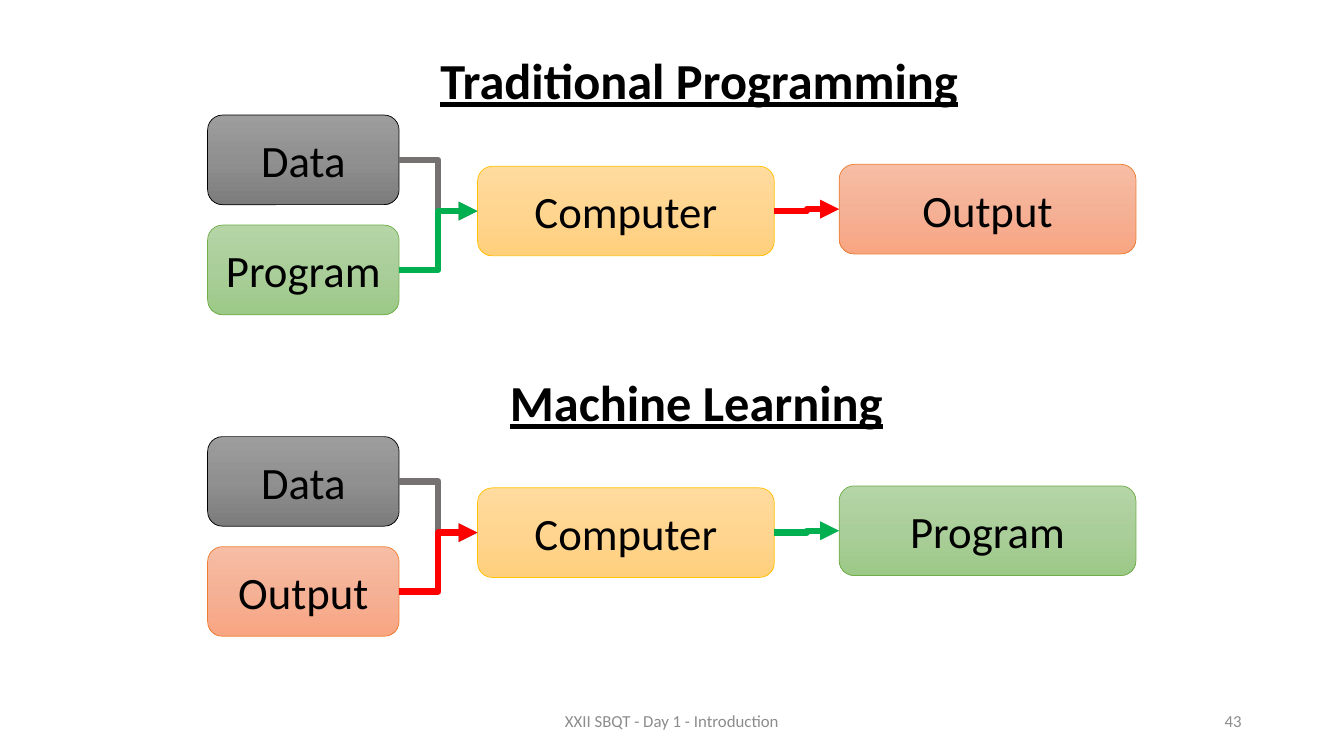
from copy import deepcopy
from lxml import etree
from pptx import Presentation
from pptx.dml.color import RGBColor
from pptx.enum.shapes import MSO_CONNECTOR, MSO_SHAPE
from pptx.enum.text import MSO_ANCHOR, MSO_AUTO_SIZE, PP_ALIGN
from pptx.oxml.ns import qn
from pptx.util import Pt

ELBOW = MSO_CONNECTOR.ELBOW
ROUNDED = MSO_SHAPE.ROUNDED_RECTANGLE
TOP, MIDDLE = MSO_ANCHOR.TOP, MSO_ANCHOR.MIDDLE
LEFT, CENTER, RIGHT = PP_ALIGN.LEFT, PP_ALIGN.CENTER, PP_ALIGN.RIGHT
NO_AUTOFIT = MSO_AUTO_SIZE.NONE

BLACK = RGBColor(0x00, 0x00, 0x00)
FOOTER_GRAY = RGBColor(0x8C, 0x8C, 0x8C)
ARROW_GRAY = RGBColor(0x76, 0x71, 0x71)
ARROW_GREEN = RGBColor(0x00, 0xB0, 0x50)
ARROW_RED = RGBColor(0xFF, 0x00, 0x00)
GOLD_LINE = RGBColor(0xFF, 0xC0, 0x00)
GOLD_STOPS = [RGBColor(0xFF, 0xDB, 0x9E), RGBColor(0xFF, 0xD5, 0x90), RGBColor(0xFF, 0xD0, 0x7C)]
GRAY_STOPS = [RGBColor(0x9D, 0x9D, 0x9D), RGBColor(0x90, 0x90, 0x90), RGBColor(0x7C, 0x7C, 0x7C)]
GREEN_LINE = RGBColor(0x70, 0xAD, 0x47)
GREEN_STOPS = [RGBColor(0xB5, 0xD5, 0xA7), RGBColor(0xAA, 0xCE, 0x9A), RGBColor(0x9C, 0xC9, 0x87)]
ORANGE_LINE = RGBColor(0xED, 0x7D, 0x31)
ORANGE_STOPS = [RGBColor(0xF7, 0xBD, 0xA5), RGBColor(0xF5, 0xB1, 0x96), RGBColor(0xF8, 0xA5, 0x82)]

STYLES = {
    "Data": (GRAY_STOPS, BLACK, ARROW_GRAY),
    "Program": (GREEN_STOPS, GREEN_LINE, ARROW_GREEN),
    "Computer": (GOLD_STOPS, GOLD_LINE, None),
    "Output": (ORANGE_STOPS, ORANGE_LINE, ARROW_RED),
}
BOX_HEIGHT = 64
SLOTS = [(148.3, 0, 136.8), (148.3, 78.6, 136.8), (341.1, 36.6, 212), (599.4, 35.2, 212)]

deck = Presentation()
deck.slide_width, deck.slide_height = Pt(960), Pt(540)
page = deck.slides.add_slide(deck.slide_layouts[5])


def write(shape, text, size, color, align, anchor):
    frame = shape.text_frame
    frame.text = text
    frame.vertical_anchor = anchor
    para = frame.paragraphs[0]
    para.alignment = align
    para.font.name = "Calibri"
    para.font.size = Pt(size)
    para.font.color.rgb = color
    return frame


def add_arrow(source, target, color):
    arrow = page.shapes.add_connector(ELBOW, 0, 0, 0, 0)
    arrow.begin_connect(source, 3)
    arrow.end_connect(target, 1)
    arrow.line.color.rgb = color
    arrow.line.width = Pt(4.5)
    properties = arrow._element.spPr
    line = properties.find(qn("a:ln"))
    etree.SubElement(line, qn("a:tailEnd"), type="triangle")
    etree.SubElement(properties, qn("a:effectLst"))


diagrams = [
    ("Traditional Programming", page.shapes.title, 307.4, 393.8, 31.7, ["Data", "Program", "Computer", "Output"]),
    ("Machine Learning", page.shapes.add_textbox(0, 0, 0, 0), 357.1, 288.7, 261.4,
     ["Data", "Output", "Computer", "Program"]),
]
for heading, heading_box, heading_left, heading_width, top, labels in diagrams:
    heading_box.left, heading_box.top = Pt(heading_left), Pt(top)
    heading_box.width, heading_box.height = Pt(heading_width), Pt(51)
    frame = write(heading_box, heading, 36, BLACK, LEFT, TOP)
    frame.word_wrap = False
    frame.auto_size = NO_AUTOFIT
    frame.paragraphs[0].font.bold = True
    frame.paragraphs[0].font.underline = True

    boxes = []
    for label, (left, offset, width) in zip(labels, SLOTS):
        stop_colors, line_color, _ = STYLES[label]
        box = page.shapes.add_shape(ROUNDED, Pt(left), Pt(top + 50.5 + offset), Pt(width), Pt(BOX_HEIGHT))
        box.shadow.inherit = False
        box.fill.gradient()
        box.fill.gradient_angle = 270
        stop_list = box._element.spPr.find(qn("a:gradFill")).find(qn("a:gsLst"))
        stop_list.insert(1, deepcopy(stop_list[0]))
        for stop, position, color in zip(box.fill.gradient_stops, (0, 0.5, 1), stop_colors):
            stop.position = position
            stop.color.rgb = color
        box.line.color.rgb = line_color
        box.line.width = Pt(0.5)
        write(box, label, 32, BLACK, CENTER, MIDDLE)
        boxes.append(box)

    first_input, second_input, computer, result = boxes
    add_arrow(first_input, computer, STYLES[labels[0]][2])
    add_arrow(second_input, computer, STYLES[labels[1]][2])
    add_arrow(computer, result, STYLES[labels[3]][2])

for text, left, width, align in [
    ("XXII SBQT - Day 1 - Introduction", 318, 324, CENTER),
    ("43", 678, 216, RIGHT),
]:
    footer = page.shapes.add_textbox(Pt(left), Pt(500.5), Pt(width), Pt(28.75))
    write(footer, text, 12, FOOTER_GRAY, align, MIDDLE).word_wrap = True

deck.save("out.pptx")
